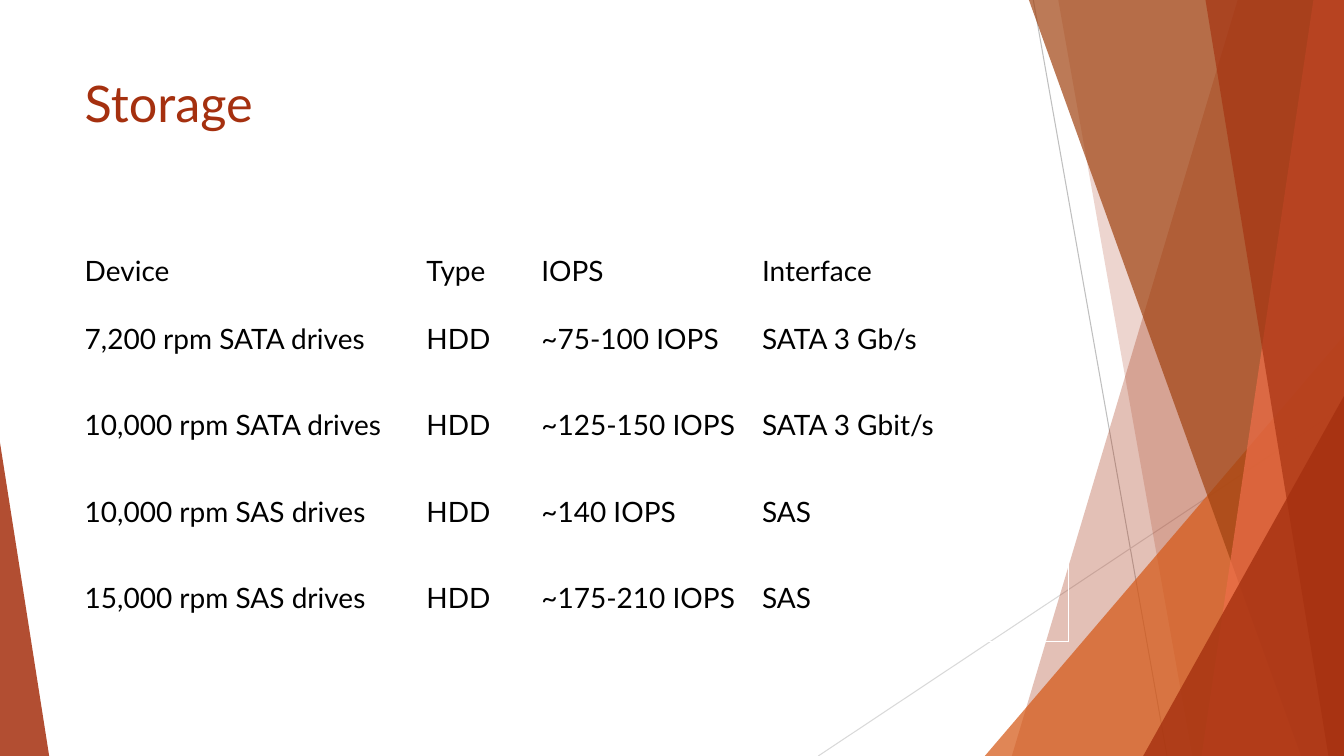
import pptx
import pptx.util
import pptx.dml.color
import pptx.enum.shapes
import pptx.enum.text
import pptx.oxml.ns
from lxml import etree

Cm = pptx.util.Cm
RGBColor = pptx.dml.color.RGBColor

RUST = RGBColor(0xA5, 0x30, 0x0F)
BROWN = RGBColor(0xA0, 0x42, 0x10)
ORANGE = RGBColor(0xD5, 0x58, 0x16)
CORAL = RGBColor(0xEE, 0x6E, 0x4A)
GREY = RGBColor(0xBF, 0xBF, 0xBF)
LIGHT_GREY = RGBColor(0xD9, 0xD9, 0xD9)
BLACK = RGBColor(0, 0, 0)
FONT = "Lato"
WIDTH, HEIGHT = 33.87, 19.05

ROWS = [
    ("Device", "Type", "IOPS", "Interface", ""),
    ("7,200 rpm SATA drives", "HDD", "~75-100 IOPS", "SATA 3 Gb/s", ""),
    ("10,000 rpm SATA drives", "HDD", "~125-150 IOPS", "SATA 3 Gbit/s", ""),
    ("10,000 rpm SAS drives", "HDD", "~140 IOPS", "SAS", ""),
    ("15,000 rpm SAS drives", "HDD", "~175-210 IOPS", "SAS", ""),
]
COLUMN_SHARES = (3.39, 1.14, 2.19, 2.27, 0.87)
HEADER_HEIGHT = 1.24


def add_run(p, text, size, color):
    """Add one formatted run to a paragraph."""
    r = p.add_run()
    r.text = text
    r.font.name = FONT
    r.font.size = pptx.util.Pt(size)
    r.font.color.rgb = color


def paint(sp, color, opacity):
    """Fill a shape with a see-through colour and no outline."""
    sp.shadow.inherit = False
    sp.fill.solid()
    sp.fill.fore_color.rgb = color
    sp.line.fill.background()
    clr = sp.fill._xPr.find(".//" + pptx.oxml.ns.qn("a:srgbClr"))
    alpha = etree.SubElement(clr, pptx.oxml.ns.qn("a:alpha"))
    alpha.set("val", str(opacity * 1000))


def add_ray(shapes, x1, y1, x2, y2, color):
    """Draw a thin straight line."""
    line = shapes.add_connector(pptx.enum.shapes.MSO_CONNECTOR.STRAIGHT,
                                Cm(x1), Cm(y1), Cm(x2), Cm(y2))
    line.line.color.rgb = color
    line.line.width = pptx.util.Pt(0.75)
    etree.SubElement(line._element.spPr, pptx.oxml.ns.qn("a:effectLst"))


def add_blade(shapes, box, top_x, bottom_x, color, opacity):
    """Draw a full-height facet that ends at the right edge of the box."""
    left, top, width, height = box
    right, bottom = Cm(left + width), Cm(top + height)
    builder = shapes.build_freeform(Cm(left + top_x), Cm(top))
    builder.add_line_segments([(right, Cm(top)), (right, bottom), (Cm(left + bottom_x), bottom)])
    paint(builder.convert_to_shape(), color, opacity)


def add_wedge(shapes, left, top, width, height, apex, color, opacity):
    """Draw a triangle whose apex lies at the given share of its width."""
    sp = shapes.add_shape(pptx.enum.shapes.MSO_SHAPE.ISOSCELES_TRIANGLE,
                          Cm(left), Cm(top), Cm(width), Cm(height))
    sp.adjustments[0] = apex
    paint(sp, color, opacity)


def add_facets(s, box):
    """Draw the facets at the right of the box and the wedge at its left corner."""
    left, top, width, height = box
    right, bottom = left + width, top + height
    shapes = s.shapes.add_group_shape().shapes
    add_ray(shapes, left + 26.04, top, left + 29.41, bottom, GREY)
    add_ray(shapes, right, top + 10.24, left + 20.62, bottom, LIGHT_GREY)
    add_blade(shapes, box, 31.19, 25.5, RUST, 30)
    add_blade(shapes, box, 26.67, 30.05, RUST, 20)
    add_wedge(shapes, right - 9.05, bottom - 10.59, 9.05, 10.59, 1, ORANGE, 72)
    add_blade(shapes, box, 25.93, 32.79, BROWN, 70)
    add_blade(shapes, box, 33.1, 30.28, CORAL, 70)
    add_blade(shapes, box, 30.38, 33.48, RUST, 65)
    add_wedge(shapes, right - 5.06, bottom - 9.07, 5.06, 9.07, 1, RUST, 80)
    add_wedge(shapes, left, bottom - 7.9, 1.24, 7.9, 0, RUST, 85)


def add_title(s, box, text):
    """Place the title in the title placeholder."""
    sp = s.shapes.title
    sp.left, sp.top, sp.width, sp.height = map(Cm, box)
    tf = sp.text_frame
    tf.word_wrap = True
    tf.vertical_anchor = pptx.enum.text.MSO_ANCHOR.TOP
    p = tf.paragraphs[0]
    p.alignment = pptx.enum.text.PP_ALIGN.LEFT
    add_run(p, text, 36, RUST)


def add_storage_table(s, box):
    """Fill the box with the table of storage devices."""
    left, top, width, height = box
    table = s.shapes.add_table(len(ROWS), len(COLUMN_SHARES), *map(Cm, box)).table
    table.first_row = table.horz_banding = False
    for column, share in zip(table.columns, COLUMN_SHARES):
        column.width = Cm(width * share / sum(COLUMN_SHARES))
    for i, row in enumerate(ROWS):
        table.rows[i].height = Cm((height - HEADER_HEIGHT) / (len(ROWS) - 1) if i else HEADER_HEIGHT)
        for j, text in enumerate(row):
            cell = table.cell(i, j)
            cell.fill.background()
            cell.vertical_anchor = pptx.enum.text.MSO_ANCHOR.MIDDLE
            if text:
                add_run(cell.text_frame.paragraphs[0], text, 20, BLACK)


def main():
    """Build and save the storage slide."""
    prs = pptx.Presentation()
    prs.slide_width, prs.slide_height = Cm(WIDTH), Cm(HEIGHT)
    s = prs.slides.add_slide(prs.slide_layouts[5])
    add_facets(s, (0, 0, WIDTH, HEIGHT))
    add_title(s, (1.88, 1.7, 23.88, 3.66), "Storage")
    add_storage_table(s, (1.88, 6.2, 25.05, 9.96))
    prs.save("out.pptx")


if __name__ == "__main__":
    main()
